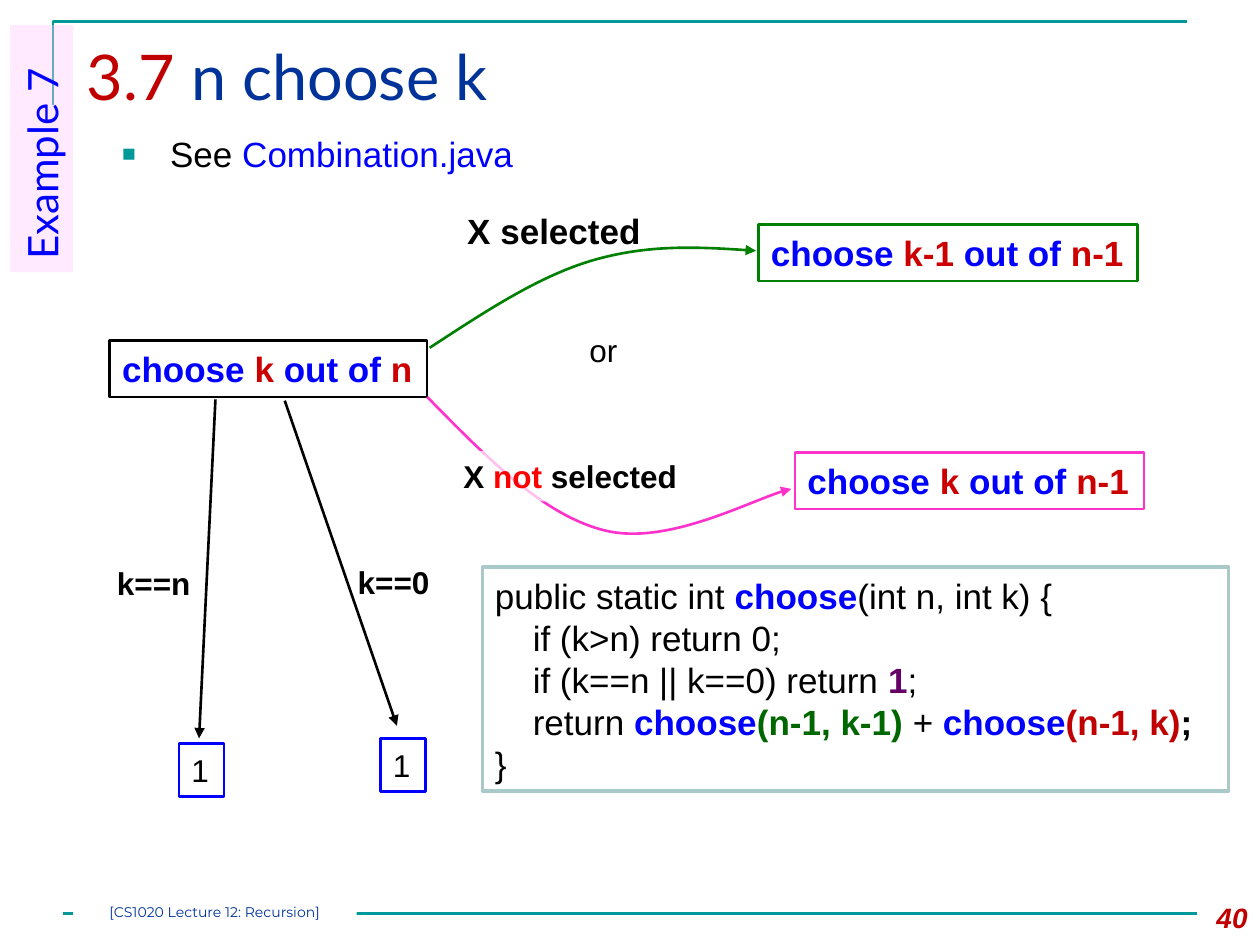
from lxml.etree import SubElement as Sub
from pptx import Presentation
from pptx.dml.color import RGBColor as RGB
from pptx.enum.shapes import MSO_CONNECTOR as Link, MSO_SHAPE as Shape
from pptx.enum.text import MSO_ANCHOR as Anchor, PP_ALIGN as Align
from pptx.oxml.ns import qn
from pptx.util import Inches, Pt

BLACK = RGB(0x00, 0x00, 0x00)
WHITE = RGB(0xFF, 0xFF, 0xFF)
TEAL = RGB(0x00, 0x99, 0x99)
NAVY = RGB(0x00, 0x33, 0x99)
BLUE = RGB(0x00, 0x00, 0xFF)
CRIMSON = RGB(0xC0, 0x00, 0x00)
RED = RGB(0xCC, 0x00, 0x00)
BRIGHT = RGB(0xFF, 0x00, 0x00)
GREEN = RGB(0x00, 0x80, 0x00)
FOREST = RGB(0x00, 0x66, 0x00)
PINK = RGB(0xFF, 0x33, 0xCC)
BLUSH = RGB(0xFF, 0xCC, 0xFF)
PURPLE = RGB(0x66, 0x00, 0x66)
SAGE = RGB(0xAA, 0xCA, 0xCA)


def inch(nums):
    return [Inches(n) for n in nums]


def write(para, runs, size, face="Arial", bold=None):
    """Fill a paragraph with runs of (text, colour, optional bold)."""
    font = para.font
    font.name, font.size, font.bold = face, Pt(size), bold
    for text, color, *heavy in runs:
        run = para.add_run()
        run.text = text
        run.font.color.rgb = color
        if heavy:
            run.font.bold = heavy[0]


def label(slide, box, runs, size, **style):
    """Add a text box with one left-aligned paragraph."""
    frame = slide.shapes.add_textbox(*inch(box)).text_frame
    frame.word_wrap = False
    para = frame.paragraphs[0]
    write(para, runs, size, **style)
    return para


def panel(slide, box, fill=None, alpha=None, line=None, width=1.5):
    """Add a rectangle ready for left-aligned text."""
    rect = slide.shapes.add_shape(Shape.RECTANGLE, *inch(box))
    rect.shadow.inherit = False
    if fill is None:
        rect.fill.background()
    else:
        rect.fill.solid()
        rect.fill.fore_color.rgb = fill
    if alpha:
        color = rect.fill._xPr.find(".//" + qn("a:srgbClr"))
        Sub(color, qn("a:alpha"), val=str(alpha * 1000))
    if line is None:
        rect.line.fill.background()
    else:
        rect.line.color.rgb, rect.line.width = line, Pt(width)
    rect.text_frame.word_wrap = False
    rect.text_frame.vertical_anchor = Anchor.MIDDLE
    rect.text_frame.paragraphs[0].alignment = Align.LEFT
    return rect


def ink(shape, color, head=False):
    shape.line.color.rgb, shape.line.width = color, Pt(1.5)
    if head:
        Sub(shape.line._get_or_add_ln(), qn("a:tailEnd"), type="triangle")


def straight(slide, start, end, color, head=False):
    line = slide.shapes.add_connector(Link.STRAIGHT, *inch(start + end))
    ink(line, color, head)
    Sub(line._element.spPr, qn("a:effectLst"))


def outline(slide, points, color, head=False):
    pen = slide.shapes.build_freeform(*inch(points[0]))
    pen.add_line_segments([inch(p) for p in points[1:]], close=False)
    shape = pen.convert_to_shape()
    shape.shadow.inherit = False
    shape.fill.background()
    ink(shape, color, head)
    return shape


def curve(slide, points, color):
    """Draw an arrow along cubic curves, three points to each curve."""
    shape = outline(slide, points, color, head=True)
    track = shape._element.find(".//" + qn("a:path"))
    steps = track.findall(qn("a:lnTo"))
    for i in range(0, len(steps), 3):
        bend = Sub(track, qn("a:cubicBezTo"))
        for step in steps[i:i + 3]:
            bend.append(step[0])
            track.remove(step)


def frame(slide):
    outline(slide, [(0.42, 0.83), (0.42, 0.17), (9.42, 0.17)], TEAL)
    straight(slide, (0.5, 7.25), (9.5, 7.25), TEAL)


def footer(slide, box):
    left, top, width, height = box
    text = panel(slide, (left, top + 0.07, 2.25, 0.17), fill=WHITE).text_frame
    text.vertical_anchor = Anchor.TOP
    text.margin_left = text.margin_right = 0
    text.margin_top = text.margin_bottom = 0
    para = text.paragraphs[0]
    para.alignment = Align.CENTER
    write(para, [("[CS1020 Lecture 12: Recursion]", NAVY)], 8, "Montserrat")
    page = label(slide, (left + width - 0.67, top, 0.67, height),
                 [("40", CRIMSON)], 16, bold=True)
    page.font.italic = True
    page.alignment = Align.RIGHT


def heading(slide, box):
    title = slide.shapes.title
    title.left, title.top, title.width, title.height = inch(box)
    title.text_frame.vertical_anchor = Anchor.TOP
    para = title.text_frame.paragraphs[0]
    para.alignment = Align.LEFT
    write(para, [("3.7 ", CRIMSON), ("n choose k", NAVY)], 36, "Lato")


def pointer(slide, box):
    """Place the bullet that points to the source file."""
    body = slide.placeholders[1]
    body.left, body.top, body.width, body.height = inch(box)
    para = body.text_frame.paragraphs[0]
    para.space_before = Pt(0)
    props = para._p.get_or_add_pPr()
    props.set("marL", str(Inches(0.38)))
    props.set("indent", str(-Inches(0.38)))
    Sub(Sub(props, qn("a:buClr")), qn("a:srgbClr"), val=str(TEAL))
    Sub(props, qn("a:buSzPct"), val="65000")
    Sub(props, qn("a:buChar"), char="■")
    write(para, [("See ", BLACK), ("Combination.java", BLUE)], 20)


def tag(slide, box):
    rect = panel(slide, box, fill=BLUSH, alpha=40)
    rect.rotation = 270
    write(rect.text_frame.paragraphs[0], [("Example 7", BLUE)], 24, "Lato")


def choice(slide, box, k, n, color):
    rect = panel(slide, box, line=color)
    runs = [("choose ", BLUE), (k + " ", RED), ("out of ", BLUE), (n, RED)]
    write(rect.text_frame.paragraphs[0], runs, 20, bold=True)


def base(slide, test, spot, start, end, corner):
    """Place a base case: its test, an arrow and the result 1."""
    label(slide, spot + (0.85, 0.4), [(test, BLACK)], 18, bold=True)
    straight(slide, start, end, BLACK, head=True)
    rect = panel(slide, corner + (0.36, 0.42), line=BLUE)
    write(rect.text_frame.paragraphs[0], [("1", BLACK)], 18)


def tree(slide):
    choice(slide, (0.87, 2.7, 2.52, 0.45), "k", "n", BLACK)
    label(slide, (3.61, 1.61, 1.65, 0.43), [("X selected", BLACK)], 20, bold=True)
    choice(slide, (6.02, 1.78, 3.01, 0.45), "k-1", "n-1", GREEN)
    curve(slide, [(3.41, 2.76), (3.84, 2.48), (4.26, 2.2), (4.69, 2.07),
                  (5.13, 1.94), (5.56, 1.96), (6, 1.99)], GREEN)
    choice(slide, (6.31, 3.59, 2.77, 0.45), "k", "n-1", PINK)
    curve(slide, [(3.39, 3.15), (3.85, 3.62), (4.31, 4.09), (4.8, 4.21),
                  (5.28, 4.33), (6.04, 3.93), (6.28, 3.88)], PINK)
    note = panel(slide, (3.58, 3.58, 1.9, 0.4), fill=WHITE, alpha=70)
    write(note.text_frame.paragraphs[0],
          [("X ", BLACK), ("not", BRIGHT), (" selected", BLACK)], 18, bold=True)
    label(slide, (4.58, 2.58, 0.5, 0.5), [("or", BLACK)], 18)
    base(slide, "k==0", (2.74, 4.42), (2.26, 3.18), (3.15, 5.76), (3.02, 5.86))
    base(slide, "k==n", (0.83, 4.43), (1.71, 3.17), (1.58, 5.86), (1.42, 5.9))


def code(slide, box):
    name = ("choose", BLUE, True)
    lines = [
        [("public static int ", BLACK), name, ("(int n, int k) {", BLACK)],
        [("\tif (k>n) return 0;", BLACK)],
        [("\tif (k==n || k==0) return ", BLACK), ("1", PURPLE, True), (";", BLACK)],
        [("\treturn ", BLACK), name, ("(n-1, k-1) ", FOREST, True), ("+ ", BLACK),
         name, ("(n-1, k)", CRIMSON, True), (";", BLACK, True)],
        [("}", BLACK)],
    ]
    text = panel(slide, box, fill=WHITE, line=SAGE, width=2).text_frame
    text.word_wrap = True
    for i, runs in enumerate(lines):
        para = text.add_paragraph() if i else text.paragraphs[0]
        para.alignment = Align.LEFT
        tabs = Sub(para._p.get_or_add_pPr(), qn("a:tabLst"))
        for stop in (0.3, 0.59, 0.89):
            Sub(tabs, qn("a:tab"), pos=str(Inches(stop)), algn="l")
        write(para, runs, 20)


def main():
    deck = Presentation()
    deck.slide_width, deck.slide_height = inch((10, 7.5))
    slide = deck.slides.add_slide(deck.slide_layouts[1])
    frame(slide)
    heading(slide, (0.59, 0.25, 9.25, 0.86))
    pointer(slide, (0.87, 1, 6.72, 0.5))
    tree(slide)
    code(slide, (3.83, 4.5, 5.92, 1.78))
    tag(slide, (-0.65, 0.93, 1.96, 0.5))
    footer(slide, (0.58, 7.1, 9.42, 0.4))
    deck.save("out.pptx")


if __name__ == "__main__":
    main()
